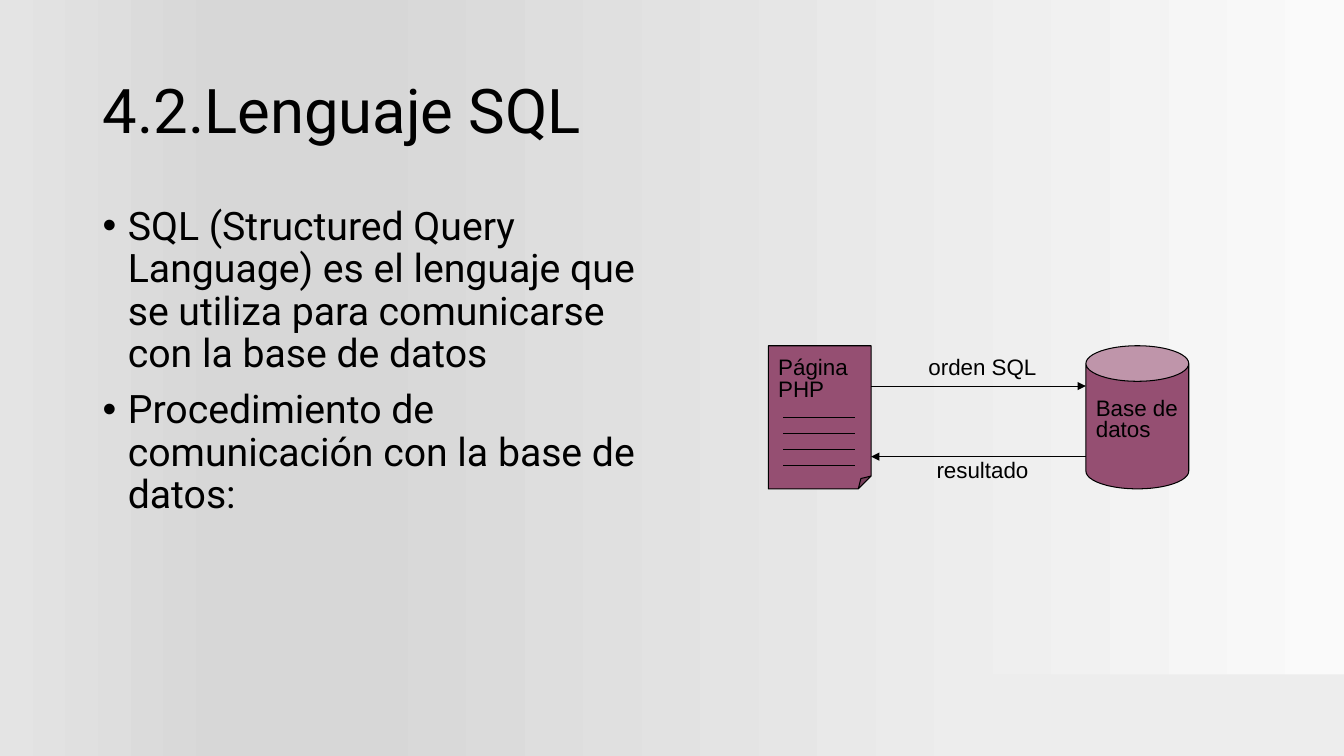
from dataclasses import dataclass

from pptx import Presentation
from pptx.dml.color import RGBColor
from pptx.enum.shapes import MSO_AUTO_SHAPE_TYPE as Shape, MSO_CONNECTOR as Conn
from pptx.enum.text import MSO_ANCHOR as Anchor, PP_ALIGN as Align
from pptx.oxml.ns import qn
from pptx.oxml.xmlchemy import OxmlElement
from pptx.slide import Slide
from pptx.util import Inches, Pt


@dataclass(frozen=True)
class Theme:
    ink: str = "000000"
    plum: str = "954F72"
    band: str = "EDEDED"
    gradient: tuple = ((0, "FAFAFA"), (74, "D7D7D7"), (83, "D7D7D7"), (100, "E4E4E4"))
    text_font: str = "Roboto"
    label_font: str = "Arial"
    title_size: int = 44
    body_size: int = 28
    label_size: int = 16
    line_width: float = 0.75


@dataclass(frozen=True)
class Box:
    left: float
    top: float
    width: float
    height: float

    def emu(self) -> tuple:
        return tuple(Inches(v) for v in (self.left, self.top, self.width, self.height))


@dataclass(frozen=True)
class Text:
    box: Box
    paragraphs: tuple
    size: int
    font: str
    spacing: float = 0.9
    anchor: Anchor = Anchor.TOP
    wrap: bool = True
    bullets: bool = False


@dataclass(frozen=True)
class Block:
    kind: Shape
    box: Box
    fill: str
    adjust_percent: float | None = None
    outlined: bool = True


@dataclass(frozen=True)
class Line:
    start: float
    end: float
    y: float
    arrow: bool = False


THEME = Theme()

# Diagram measures
PAGE = Box(7.62, 3.43, 1.02, 1.42)
DATABASE = Box(10.77, 3.43, 1.02, 1.42)
PAGE_EDGE = PAGE.left + PAGE.width
ORDER_Y, RESULT_Y = 3.83, 4.53


def label(box: Box, text: str, wrap: bool = True) -> Text:
    return Text(box, (text,), THEME.label_size, THEME.label_font, 0.8, wrap=wrap)


BLOCKS = (
    Block(Shape.RECTANGLE, Box(9.55, 6.69, 3.78, 0.81), THEME.band, outlined=False),
    Block(Shape.FOLDED_CORNER, PAGE, THEME.plum, 12.5),
    Block(Shape.CAN, DATABASE, THEME.plum, 34.6),
)
TEXTS = (
    Text(Box(0.92, 0.4, 11.5, 1.45), ("4.2.Lenguaje SQL",),
         THEME.title_size, THEME.text_font, anchor=Anchor.MIDDLE),
    Text(Box(0.92, 2, 5.67, 4.29),
         ("SQL (Structured Query Language) es el lenguaje que se utiliza "
          "para comunicarse con la base de datos",
          "Procedimiento de comunicación con la base de datos:"),
         THEME.body_size, THEME.text_font, bullets=True),
    label(Box(PAGE.left, 3.51, PAGE.width, 0.53), "Página\vPHP"),
    label(Box(DATABASE.left, 3.91, DATABASE.width, 0.53), "Base de datos"),
    label(Box(9.11, 3.51, 1.28, 0.31), "orden SQL", wrap=False),
    label(Box(9.19, RESULT_Y, 1.11, 0.31), "resultado", wrap=False),
)
LINES = (
    *(Line(7.77, 8.48, 4.14 + 0.16 * i) for i in range(4)),
    Line(PAGE_EDGE, DATABASE.left, ORDER_Y, arrow=True),
    Line(DATABASE.left, PAGE_EDGE, RESULT_Y, arrow=True),
)


def rgb(value: str) -> RGBColor:
    return RGBColor.from_string(value)


def add_child(parent, tag: str, **attributes: str):
    child = OxmlElement(tag)
    for name, value in attributes.items():
        child.set(name, value)
    parent.append(child)
    return child


def paint_background(slide: Slide) -> None:
    fill = slide.background.fill
    fill.gradient()
    fill.gradient_angle = 180
    stops = next(slide.element.iter(qn("a:gsLst")))
    for stop in list(stops):
        stops.remove(stop)
    for position, color in THEME.gradient:
        stop = add_child(stops, "a:gs", pos=str(position * 1000))
        add_child(stop, "a:srgbClr", val=color)


def add_block(slide: Slide, block: Block) -> None:
    sp = slide.shapes.add_shape(block.kind, *block.box.emu())
    sp.shadow.inherit = False
    sp.fill.solid()
    sp.fill.fore_color.rgb = rgb(block.fill)
    if block.adjust_percent is not None:
        # The folded corner has no entry in shape.adjustments
        guides = next(sp.element.iter(qn("a:avLst")))
        for guide in list(guides):
            guides.remove(guide)
        add_child(guides, "a:gd", name="adj", fmla=f"val {block.adjust_percent * 1000:.0f}")
    if block.outlined:
        sp.line.color.rgb = rgb(THEME.ink)
        sp.line.width = Pt(THEME.line_width)
    else:
        sp.line.fill.background()


def add_text(slide: Slide, text: Text) -> None:
    tf = slide.shapes.add_textbox(*text.box.emu()).text_frame
    tf.word_wrap = text.wrap
    tf.vertical_anchor = text.anchor
    for i, content in enumerate(text.paragraphs):
        p = tf.add_paragraph() if i else tf.paragraphs[0]
        p.text = content
        p.alignment = Align.LEFT
        p.line_spacing = text.spacing
        if i:
            p.space_before = Pt(10)
        if text.bullets:
            pPr = p._p.get_or_add_pPr()
            pPr.set("marL", str(Inches(0.25)))
            pPr.set("indent", str(Inches(-0.25)))
            add_child(pPr, "a:buFont", typeface=THEME.label_font)
            add_child(pPr, "a:buChar", char="•")
        for r in p.runs:
            r.font.name = text.font
            r.font.size = Pt(text.size)
            r.font.color.rgb = rgb(THEME.ink)


def add_line(slide: Slide, line: Line) -> None:
    y = Inches(line.y)
    cxn = slide.shapes.add_connector(Conn.STRAIGHT, Inches(line.start), y, Inches(line.end), y)
    cxn.line.color.rgb = rgb(THEME.ink)
    cxn.line.width = Pt(THEME.line_width)
    if line.arrow:
        add_child(next(cxn.element.iter(qn("a:ln"))), "a:tailEnd", type="triangle")
    add_child(cxn.element.spPr, "a:effectLst")


def main() -> None:
    prs = Presentation()
    prs.slide_width, prs.slide_height = Inches(13.33), Inches(7.5)
    slide = prs.slides.add_slide(prs.slide_layouts[6])
    paint_background(slide)
    # Shapes first, then lines and text above them
    for block in BLOCKS:
        add_block(slide, block)
    for line in LINES:
        add_line(slide, line)
    for text in TEXTS:
        add_text(slide, text)
    prs.save("out.pptx")


if __name__ == "__main__":
    main()
